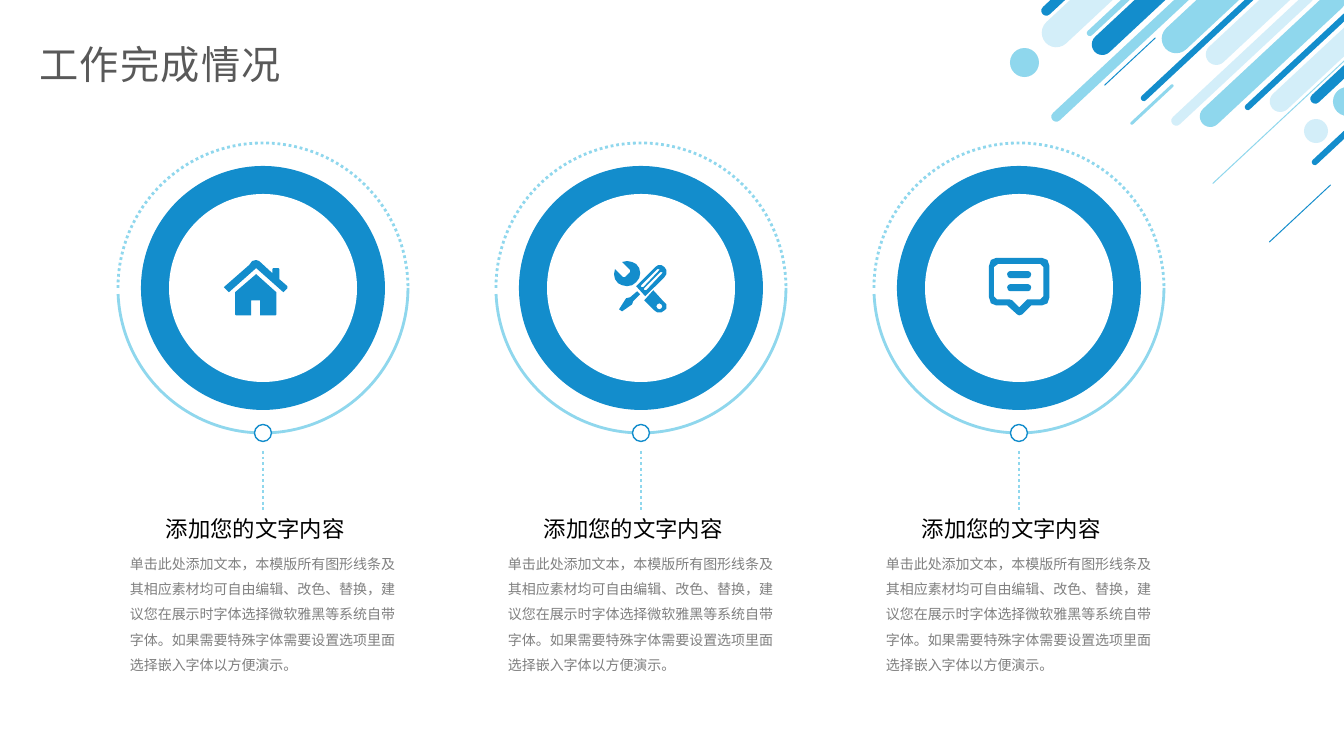
from lxml.etree import SubElement
from pptx import Presentation
from pptx.dml.color import RGBColor
from pptx.enum.dml import MSO_LINE
from pptx.enum.shapes import MSO_CONNECTOR, MSO_SHAPE
from pptx.enum.text import MSO_ANCHOR, PP_ALIGN
from pptx.oxml.ns import qn
from pptx.util import Inches, Pt

PX = Inches(1) / 100.8
ICON_UNIT = Inches(0.01)
FONT = "Noto Sans CJK SC"
DARK, MID, LIGHT, WHITE = "138DCC", "8FD7ED", "D3EEF9", "FFFFFF"


def paint(shape, fill=None, line=None, width=1):
    """Fill and outline a shape with hex colours; None leaves the part empty."""
    shape.shadow.inherit = False
    if fill:
        shape.fill.solid()
        shape.fill.fore_color.rgb = RGBColor.from_string(fill)
    else:
        shape.fill.background()
    if line:
        shape.line.color.rgb = RGBColor.from_string(line)
        shape.line.width = Pt(width)
    else:
        shape.line.fill.background()


def write(shape, text, size, color):
    """Put one left-aligned paragraph in a shape and return it."""
    paragraph = shape.text_frame.paragraphs[0]
    paragraph.text = text
    paragraph.alignment = PP_ALIGN.LEFT
    font = paragraph.font
    font.size = Pt(size)
    font.color.rgb = RGBColor.from_string(color)
    font.name = FONT
    SubElement(font._element, qn("a:ea"), typeface=FONT)
    return paragraph


prs = Presentation()
prs.slide_width, prs.slide_height = round(1344 * PX), round(756 * PX)
slide = prs.slides.add_slide(prs.slide_layouts[5])
shapes = slide.shapes

# Title
title = shapes.title
title.left, title.top, title.width, title.height = [round(v * PX) for v in (29, 35, 1314, 57)]
title.text_frame.word_wrap = True
title.text_frame.vertical_anchor = MSO_ANCHOR.MIDDLE
heading = write(title, "工作完成情况", 28, "595959")
heading.runs[0]._r.get_or_add_rPr().set("spc", "100")

# Corner decoration: slanted stripes (left, top, length, thickness, colour)
stripes = [
    (1020, -37, 191, 29, LIGHT), (1062, -33, 191, 6, MID), (1069, -24, 191, 21, DARK),
    (1027, 50, 191, 10, MID), (1140, -31, 191, 29, MID), (1116, 32, 191, 6, DARK),
    (1183, -14, 191, 21, LIGHT), (1147, 54, 191, 10, LIGHT), (1177, 48, 191, 21, MID),
    (1220, 41, 191, 6, DARK), (1247, 33, 191, 21, LIGHT), (1286, 32, 191, 10, DARK),
    (1017, -56, 191, 10, DARK), (1287, 96, 191, 6, DARK), (1187, 118, 191, 1, MID),
    (1258, 213, 84, 1, DARK), (1123, 103, 58, 3, MID), (1095, 61, 70, 1, DARK),
]
for left, top, length, thickness, color in stripes:
    stripe = shapes.add_shape(MSO_SHAPE.ROUNDED_RECTANGLE,
                              *[round(v * PX) for v in (left, top, length, thickness)])
    stripe.adjustments[0] = 0.5
    stripe.rotation = 317
    paint(stripe, color)

# Corner decoration: dots (left, top, diameter, colour)
for left, top, size, color in [(1304, 119, 24, LIGHT), (1333, 87, 29, MID), (1010, 48, 29, MID)]:
    dot = shapes.add_shape(MSO_SHAPE.OVAL, *[round(v * PX) for v in (left, top, size, size)])
    paint(dot, color)

# Icon outlines in hundredths of an inch; inner outlines cut holes
house = [
    [(52, 49), (52, 54), (51, 55), (36, 55), (36, 40), (27, 40), (27, 55), (12, 55), (11, 54),
     (11, 32), (32, 14), (52, 32)],
    [(48, 9), (49, 8), (54, 8), (55, 9), (55, 19), (63, 26), (63, 28), (60, 31), (59, 32),
     (32, 8), (5, 32), (4, 31), (1, 28), (0, 27), (1, 26), (25, 5), (28, 1), (32, 0), (35, 1),
     (36, 2), (48, 13)],
]
tools = [
    [(49, 41), (52, 44), (52, 48), (50, 50), (47, 52), (43, 52), (40, 50), (30, 40), (39, 30)],
    [(42, 46), (43, 44), (45, 43), (47, 44), (48, 46), (47, 48), (45, 49), (43, 48)],
    [(31, 36), (50, 17), (52, 14), (52, 10), (50, 7), (47, 5), (44, 5), (41, 7), (22, 26)],
    [(30, 28), (46, 12), (48, 12), (48, 13), (32, 30), (30, 30)],
    [(27, 25), (43, 9), (45, 9), (45, 10), (29, 27), (27, 27)],
    [(8, 2), (13, 1), (18, 2), (22, 4), (25, 8), (26, 13), (25, 18), (22, 22), (18, 25),
     (13, 26), (8, 25), (4, 23), (1, 19), (0, 14), (1, 9), (9, 17), (11, 17), (16, 12), (16, 10)],
    [(16, 37), (23, 31), (26, 34), (19, 41), (18, 44), (8, 51), (5, 49), (12, 38)],
]
message_line = [(21, 13), (39, 13), (41, 14), (42, 16), (41, 19), (39, 20), (21, 20), (19, 19),
                (18, 16), (19, 14)]
message = [
    [(0, 8), (2, 2), (7, 0), (53, 0), (58, 2), (60, 8), (60, 39), (58, 45), (53, 47), (42, 47),
     (33, 56), (30, 57), (28, 56), (18, 47), (7, 47), (2, 45), (0, 39)],
    [(40, 41), (51, 41), (54, 38), (54, 9), (51, 6), (9, 6), (5, 9), (5, 38), (8, 41), (20, 41),
     (23, 42), (30, 49), (38, 41)],
    message_line,
    [(x, y + 13) for x, y in message_line],
]

# Three columns: ring, orbit, icon, stem and texts
FIRST_CENTER, PITCH, RING_Y, KNOB_Y = 263, 378, 288, 433
DESCRIPTION = ("单击此处添加文本，本模版所有图形线条及其相应素材均可自由编辑、改色、替换，"
               "建议您在展示时字体选择微软雅黑等系统自带字体。"
               "如果需要特殊字体需要设置选项里面选择嵌入字体以方便演示。")
# kind, centre y, diameter, fill, line, line width, arc angles, dash
circles = [
    (MSO_SHAPE.OVAL, RING_Y, 244, DARK, None, 0, (), None),
    (MSO_SHAPE.OVAL, RING_Y, 188, WHITE, None, 0, (), None),
    (MSO_SHAPE.ARC, RING_Y, 290, None, MID, 2, (180, 0), MSO_LINE.ROUND_DOT),
    (MSO_SHAPE.ARC, RING_Y, 290, None, MID, 2, (0, 177.6), None),
    (MSO_SHAPE.OVAL, KNOB_Y, 17, WHITE, DARK, 1, (), None),
]
for column, (icon, icon_dx, icon_dy) in enumerate(
        [(house, -39, -28), (tools, -27, -28), (message, -30, -30)]):
    center = FIRST_CENTER + column * PITCH

    for kind, middle, size, fill, line, width, angles, dash in circles:
        circle = shapes.add_shape(kind, *[round(v * PX) for v in (
            center - size / 2, middle - size / 2, size, size)])
        paint(circle, fill, line, width)
        for index, angle in enumerate(angles):
            circle.adjustments[index] = angle * 0.6  # 60000ths of a degree / 100000
        if dash:
            circle.line.dash_style = dash

    stem = shapes.add_connector(MSO_CONNECTOR.STRAIGHT, *[round(v * PX) for v in (
        center, 451, center, 510)])
    stem.line.color.rgb = RGBColor.from_string(MID)
    stem.line.width = Pt(2)
    stem.line.dash_style = MSO_LINE.ROUND_DOT
    SubElement(stem._element.spPr, qn("a:effectLst"))

    outline = shapes.build_freeform(*icon[0][0], scale=ICON_UNIT)
    outline.add_line_segments(icon[0][1:], close=True)
    for contour in icon[1:]:
        outline.move_to(*contour[0])
        outline.add_line_segments(contour[1:], close=True)
    paint(outline.convert_to_shape(round((center + icon_dx) * PX),
                                   round((RING_Y + icon_dy) * PX)), DARK)

    caption = shapes.add_textbox(*[round(v * PX) for v in (center - 107, 510, 200, 37)])
    caption.text_frame.word_wrap = False
    write(caption, "添加您的文字内容", 16, "000000")

    description = shapes.add_textbox(*[round(v * PX) for v in (center - 143, 542, 286, 153)])
    description.text_frame.word_wrap = True
    write(description, DESCRIPTION, 10, "808080").line_spacing = 1.5

prs.save("out.pptx")
